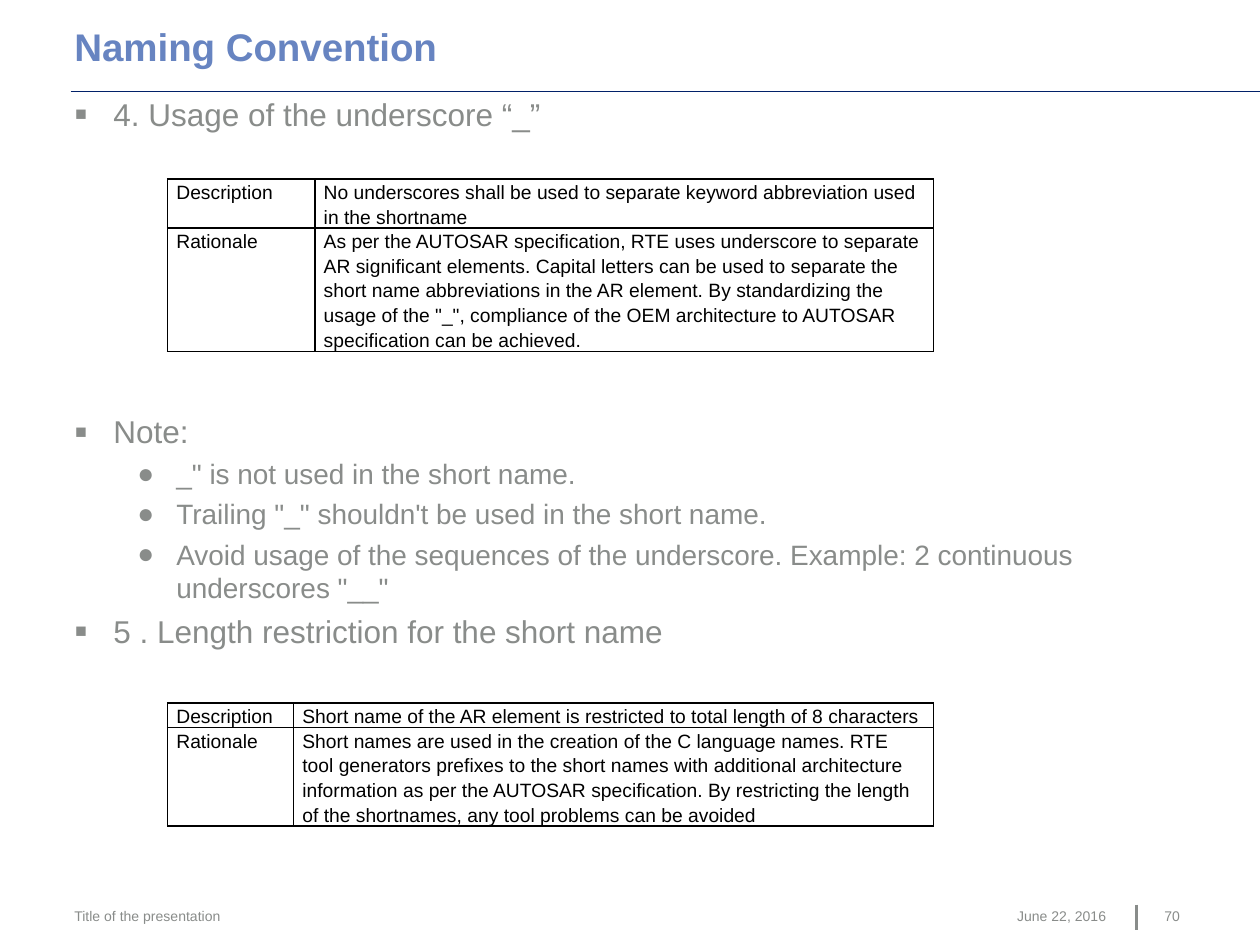
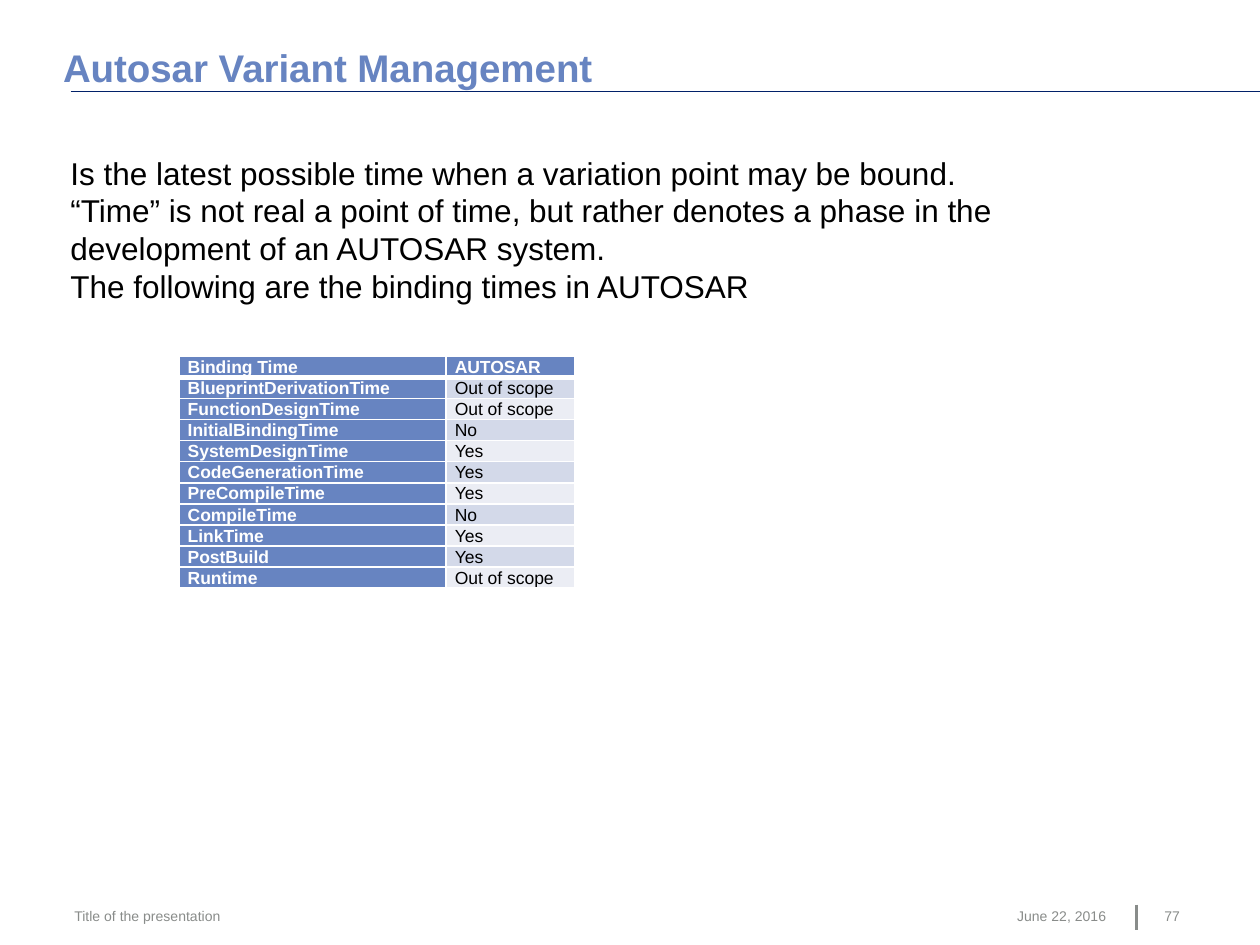
from dataclasses import dataclass

from lxml import etree
from pptx import Presentation
from pptx.dml.color import RGBColor
from pptx.enum.shapes import MSO_CONNECTOR
from pptx.enum.text import MSO_ANCHOR, MSO_AUTO_SIZE, PP_ALIGN
from pptx.oxml.ns import qn
from pptx.util import Inches, Pt

LEFT, RIGHT = PP_ALIGN.LEFT, PP_ALIGN.RIGHT
TOP, MIDDLE = MSO_ANCHOR.TOP, MSO_ANCHOR.MIDDLE
STRAIGHT = MSO_CONNECTOR.STRAIGHT
NO_FIT = MSO_AUTO_SIZE.NONE
TITLE_ONLY = 5


@dataclass(frozen=True)
class Theme:
    font: str = "Arial"
    blue: str = "6784C1"
    navy: str = "012169"
    gray: str = "898C8A"
    black: str = "000000"
    white: str = "FFFFFF"
    bands: tuple = ("D3D9E9", "EBEDF4")
    title: int = 22
    text: int = 18
    detail: int = 16
    rule_cell: int = 11
    binding_cell: int = 10
    footer: int = 8


THEME = Theme()

BULLETS = {
    "square": dict(mark="▪", left=0.31, scale=120, size=THEME.text, before=4.3),
    "round": dict(mark="●", left=0.81, scale=100, size=THEME.detail, before=3.8),
}
HANGING = 0.31

NAMING_POINTS = [
    ("square", "4. Usage of the underscore “_”", 0),
    ("square", "Note:", 160),
    ("round", "_\" is not used in the short name.", None),
    ("round", "Trailing \"_\" shouldn't be used in the short name.", None),
    ("round", "Avoid usage of the sequences of the underscore. Example: "
              "2 continuous underscores \"__\"", None),
    ("square", "5 . Length restriction for the short name", None),
]
UNDERSCORE_RULE = [
    ("Description", "No underscores shall be used to separate keyword "
                    "abbreviation used in the shortname"),
    ("Rationale", "As per the AUTOSAR specification, RTE uses underscore to "
                  "separate AR significant elements. Capital letters can be used "
                  "to separate the short name abbreviations in the AR element. "
                  "By standardizing the usage of the \"_\", compliance of the OEM "
                  "architecture to AUTOSAR specification can be achieved."),
]
LENGTH_RULE = [
    ("Description", "Short name of the AR element is restricted to total length "
                    "of 8 characters"),
    ("Rationale", "Short names are used in the creation of the C language names. "
                  "RTE tool generators prefixes to the short names with additional "
                  "architecture information as per the AUTOSAR specification. By "
                  "restricting the length of the shortnames, any tool problems can "
                  "be avoided"),
]
BINDING_INTRO = [
    "Is the latest possible time when a variation point may be bound.",
    "“Time” is not real a point of time, but rather denotes a phase in the",
    "development of an AUTOSAR system.",
    "The following are the binding times in AUTOSAR",
]
BINDING_TIMES = [
    ("Binding Time", "AUTOSAR"),
    ("BlueprintDerivationTime", "Out of scope"),
    ("FunctionDesignTime", "Out of scope"),
    ("InitialBindingTime", "No"),
    ("SystemDesignTime", "Yes"),
    ("CodeGenerationTime", "Yes"),
    ("PreCompileTime", "Yes"),
    ("CompileTime", "No"),
    ("LinkTime", "Yes"),
    ("PostBuild", "Yes"),
    ("Runtime", "Out of scope"),
]


def add_bullet(para, mark, left, scale):
    props = para._p.get_or_add_pPr()
    props.set("marL", str(Inches(left)))
    props.set("indent", str(-Inches(HANGING)))
    etree.SubElement(props, qn("a:buSzPct")).set("val", str(scale * 1000))
    etree.SubElement(props, qn("a:buFont")).set("typeface", THEME.font)
    etree.SubElement(props, qn("a:buChar")).set("char", mark)


def write(frame, text, size, color, bold=False, align=LEFT, line=None,
          before=0, bullet=None):
    first = frame.paragraphs[0]
    para = frame.add_paragraph() if first.runs else first
    if bullet:
        add_bullet(para, bullet["mark"], bullet["left"], bullet["scale"])
    para.alignment = align
    para.space_before = Pt(before)
    if line:
        para.line_spacing = line
    span = para.add_run()
    span.text = text
    span.font.name = THEME.font
    span.font.size = Pt(size)
    span.font.bold = bold
    span.font.color.rgb = RGBColor.from_string(color)


def format_frame(frame, margins=(0, 0), anchor=TOP, wrap=True):
    frame.margin_left = frame.margin_right = Inches(margins[0])
    frame.margin_top = frame.margin_bottom = Inches(margins[1])
    frame.vertical_anchor = anchor
    frame.word_wrap = wrap
    frame.auto_size = NO_FIT


def add_text_box(page, box, margins=(0, 0), wrap=True):
    frame = page.shapes.add_textbox(*map(Inches, box)).text_frame
    format_frame(frame, margins, wrap=wrap)
    return frame


def add_line(page, start, end, color, width):
    line = page.shapes.add_connector(STRAIGHT, *map(Inches, start + end))
    line.line.color.rgb = RGBColor.from_string(color)
    line.line.width = Pt(width)
    etree.SubElement(line._element.spPr, qn("a:effectLst"))


def add_title(page, text, box):
    title = page.shapes.title
    title.left, title.top, title.width, title.height = map(Inches, box)
    format_frame(title.text_frame, anchor=MIDDLE)
    write(title.text_frame, text, THEME.title, THEME.blue, bold=True,
          line=Pt(THEME.title))


def add_footer(page, number, top=7.2):
    parts = [
        ("Title of the presentation", 0.59, 4.13, LEFT, False),
        ("June 22, 2016", 7.23, 1.55, RIGHT, True),
        (number, 9.24, 0.35, LEFT, True),
    ]
    for text, left, width, align, wrap in parts:
        frame = add_text_box(page, (left, top, width, 0.23), wrap=wrap)
        write(frame, text, THEME.footer, THEME.gray, align=align)
    add_line(page, (9.02, top - 0.02), (9.02, top + 0.18), THEME.gray, 1.5)


def add_page(deck, title, title_box, number):
    page = deck.slides.add_slide(deck.slide_layouts[TITLE_ONLY])
    add_line(page, (0.56, 0.72), (10, 0.72), THEME.navy, 0.1)
    add_title(page, title, title_box)
    add_footer(page, number)
    return page


def set_borders(cell, color, bottom=1):
    props = cell._tc.get_or_add_tcPr()
    sides = [("a:lnL", 1), ("a:lnR", 1), ("a:lnT", 1), ("a:lnB", bottom)]
    for place, (tag, width) in enumerate(sides):
        edge = etree.Element(qn(tag), w=str(Pt(width)))
        fill = etree.SubElement(edge, qn("a:solidFill"))
        etree.SubElement(fill, qn("a:srgbClr")).set("val", color)
        props.insert(place, edge)


def add_grid(page, left, top, widths, heights, rows, style_cell):
    table = page.shapes.add_table(
        len(rows), len(widths), Inches(left), Inches(top),
        Inches(sum(widths)), Inches(sum(heights))).table
    table.first_row = table.horz_banding = False
    for column, width in zip(table.columns, widths):
        column.width = Inches(width)
    for row, height in zip(table.rows, heights):
        row.height = Inches(height)
    for r, texts in enumerate(rows):
        for c, text in enumerate(texts):
            cell = table.cell(r, c)
            cell.margin_left = cell.margin_right = Inches(0.07)
            cell.margin_top = cell.margin_bottom = 0
            style_cell(cell, text, r, c)


def style_rule_cell(cell, text, row, column):
    cell.fill.background()
    set_borders(cell, THEME.black)
    write(cell.text_frame, text, THEME.rule_cell, THEME.black, line=1.15)


def style_binding_cell(cell, text, row, column):
    header = row == 0
    strong = header or column == 0
    fill = THEME.blue if strong else THEME.bands[(row - 1) % 2]
    cell.fill.solid()
    cell.fill.fore_color.rgb = RGBColor.from_string(fill)
    cell.vertical_anchor = MIDDLE if header else TOP
    set_borders(cell, THEME.white, bottom=3 if header else 1)
    write(cell.text_frame, text, THEME.binding_cell,
          THEME.white if strong else THEME.black, bold=strong, line=Pt(12))


def add_points(page, box, points):
    frame = add_text_box(page, box)
    for level, text, before in points:
        bullet = BULLETS[level]
        write(frame, text, bullet["size"], THEME.gray, bullet=bullet,
              before=bullet["before"] if before is None else before)


def build_naming_page(deck):
    page = add_page(deck, "Naming Convention", (0.59, 0.22, 6.62, 0.35), "70")
    add_points(page, (0.59, 0.75, 8.8, 6.01), NAMING_POINTS)
    add_grid(page, 1.33, 1.42, (1.17, 4.91), (0.39, 0.98),
             UNDERSCORE_RULE, style_rule_cell)
    add_grid(page, 1.33, 5.58, (1, 5.08), (0.19, 0.78),
             LENGTH_RULE, style_rule_cell)


def build_variant_page(deck):
    page = add_page(deck, "Autosar Variant Management",
                    (0.5, 0.39, 6.62, 0.35), "77")
    intro = add_text_box(page, (0.46, 1.17, 9.12, 1.92), margins=(0.1, 0.05))
    for text in BINDING_INTRO:
        write(intro, text, THEME.text, THEME.black)
    count = len(BINDING_TIMES)
    add_grid(page, 1.42, 2.83, (2.12, 1.02), [1.83 / count] * count,
             BINDING_TIMES, style_binding_cell)


def main():
    deck = Presentation()
    deck.slide_width, deck.slide_height = Inches(10), Inches(7.5)
    build_naming_page(deck)
    build_variant_page(deck)
    deck.save("out.pptx")


if __name__ == "__main__":
    main()
